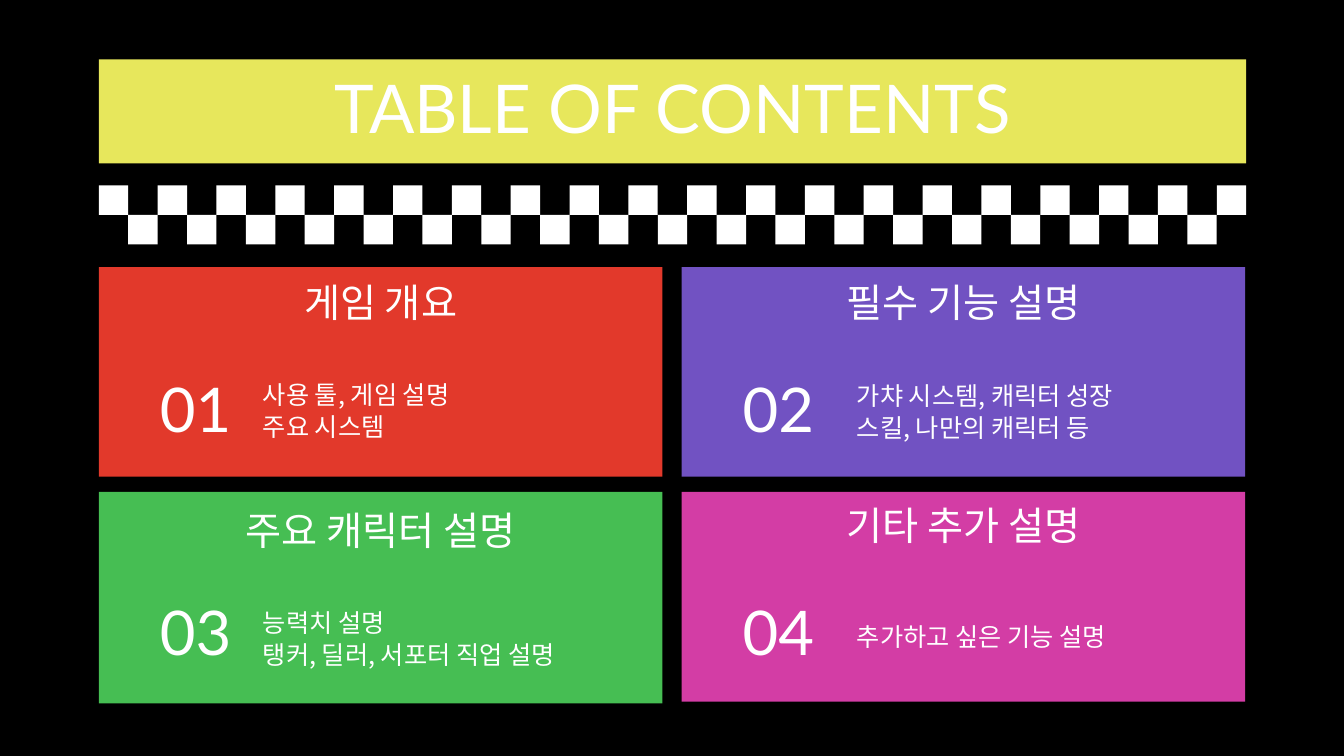
from lxml import etree
from pptx import Presentation
from pptx.dml.color import RGBColor
from pptx.enum.shapes import MSO_SHAPE
from pptx.enum.text import MSO_ANCHOR, MSO_AUTO_SIZE, PP_ALIGN
from pptx.oxml.ns import qn
from pptx.util import Inches, Pt

RECTANGLE = MSO_SHAPE.RECTANGLE
MIDDLE = MSO_ANCHOR.MIDDLE
NO_AUTOFIT = MSO_AUTO_SIZE.NONE
LEFT, CENTER = PP_ALIGN.LEFT, PP_ALIGN.CENTER

LATIN_FONT = "Lato"
KOREAN_FONT = "Noto Sans CJK KR"
BLACK, WHITE, YELLOW = "000000", "FFFFFF", "E7E75C"

MARGIN, CONTENT_WIDTH = 0.98, 11.38
CARD_WIDTH = 5.59
CHECK_TOP, CHECK_COUNT = 1.84, 39

# number, colour, card left, top and height, heading top, heading,
# number top, body left and top, body lines
CARDS = [
    ("01", "E2392B", 0.98, 2.65, 2.08, 2.65, "게임 개요",
     3.58, 2.51, 3.55, ["사용 툴, 게임 설명", "주요 시스템"]),
    ("02", "7152C2", 6.76, 2.65, 2.08, 2.65, "필수 기능 설명",
     3.58, 8.4, 3.56, ["가챠 시스템, 캐릭터 성장", "스킬, 나만의 캐릭터 등"]),
    ("03", "46BE53", 0.98, 4.88, 2.1, 4.91, "주요 캐릭터 설명",
     5.79, 2.51, 5.81, ["능력치 설명", "탱커, 딜러, 서포터 직업 설명"]),
    ("04", "D33DA5", 6.76, 4.88, 2.08, 4.86, "기타 추가 설명",
     5.79, 8.4, 5.79, ["추가하고 싶은 기능 설명"]),
]


def color(hex_text):
    return RGBColor.from_string(hex_text)


def set_all(target, values):
    for name, value in values.items():
        setattr(target, name, value)


class ContentsSlide:
    TITLE = {"size": 48, "font": LATIN_FONT, "align": CENTER, "spacing": 0.9}
    HEADING = {**TITLE, "size": 28}
    NUMBER = {**TITLE, "size": 44}
    BODY = {"size": 18, "font": KOREAN_FONT, "align": LEFT, "spacing": 1.05}

    def __init__(self, deck):
        self.page = deck.slides.add_slide(deck.slide_layouts[5])
        self.fill(self.page.background, BLACK)

    def fill(self, target, hex_text):
        target.fill.solid()
        target.fill.fore_color.rgb = color(hex_text)

    def set_lines(self, box, lines, style):
        frame = box.text_frame
        set_all(frame, {"word_wrap": True, "auto_size": NO_AUTOFIT,
                        "vertical_anchor": MIDDLE})
        for index, line in enumerate(lines):
            para = frame.add_paragraph() if index else frame.paragraphs[0]
            set_all(para, {"alignment": style["align"],
                           "line_spacing": style["spacing"]})
            span = para.add_run()
            span.text = line
            set_all(span.font, {"size": Pt(style["size"]), "name": style["font"]})
            span.font.color.rgb = color(WHITE)
            east_asian = etree.SubElement(span.font._element, qn("a:ea"))
            east_asian.set("typeface", KOREAN_FONT)

    def title(self, text, left, top, width, height):
        box = self.page.shapes.title
        set_all(box, {"left": Inches(left), "top": Inches(top),
                      "width": Inches(width), "height": Inches(height)})
        self.fill(box, YELLOW)
        self.set_lines(box, [text], self.TITLE)

    def text(self, lines, left, top, width, height, style):
        box = self.page.shapes.add_textbox(
            Inches(left), Inches(top), Inches(width), Inches(height))
        self.set_lines(box, lines, style)

    def rectangle(self, left, top, width, height, hex_text, parent=None):
        shapes = (parent or self.page).shapes
        box = shapes.add_shape(RECTANGLE, Inches(left), Inches(top),
                               Inches(width), Inches(height))
        box.shadow.inherit = False
        self.fill(box, hex_text)
        box.line.fill.background()

    def checkers(self, left, top, width, count):
        """Draw two rows of squares that alternate from column to column."""
        group = self.page.shapes.add_group_shape()
        side = width / count
        for column in range(count):
            self.rectangle(left + column * side, top + column % 2 * side,
                           side, side, WHITE, group)

    def card(self, number, hex_text, left, top, height, heading_top, heading,
             number_top, body_left, body_top, lines):
        self.rectangle(left, top, CARD_WIDTH, height, hex_text)
        self.text([heading], left, heading_top, CARD_WIDTH, 0.75, self.HEADING)
        self.text([number], left + 0.29, number_top, 1.34, 1.03, self.NUMBER)
        self.text(lines, body_left, body_top, 3.74, 1.03, self.BODY)


def main():
    deck = Presentation()
    deck.slide_width, deck.slide_height = Inches(13.33), Inches(7.5)
    contents = ContentsSlide(deck)
    contents.title("TABLE OF CONTENTS", MARGIN, 0.59, CONTENT_WIDTH, 1.03)
    contents.checkers(MARGIN, CHECK_TOP, CONTENT_WIDTH, CHECK_COUNT)
    for card in CARDS:
        contents.card(*card)
    deck.save("out.pptx")


if __name__ == "__main__":
    main()
